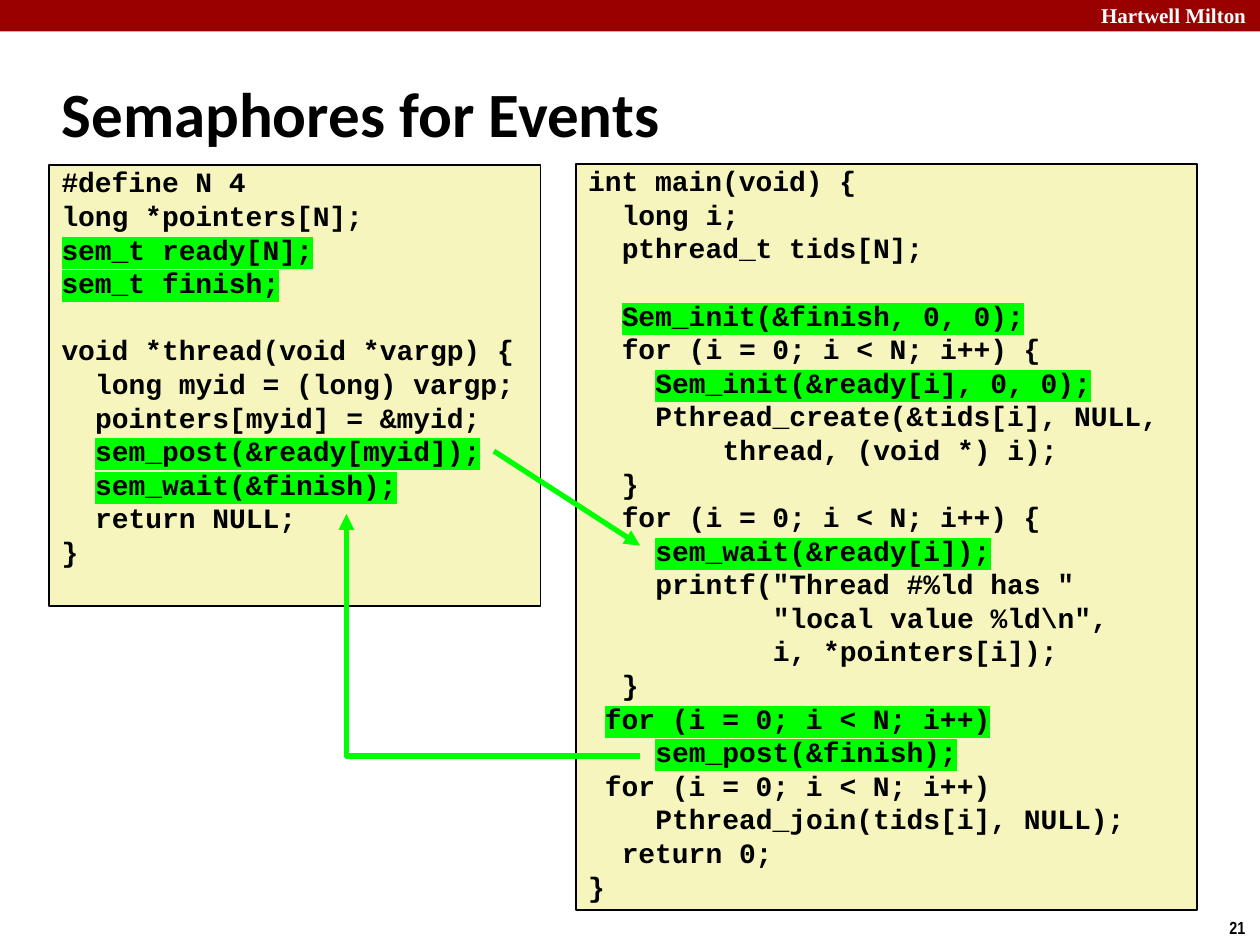
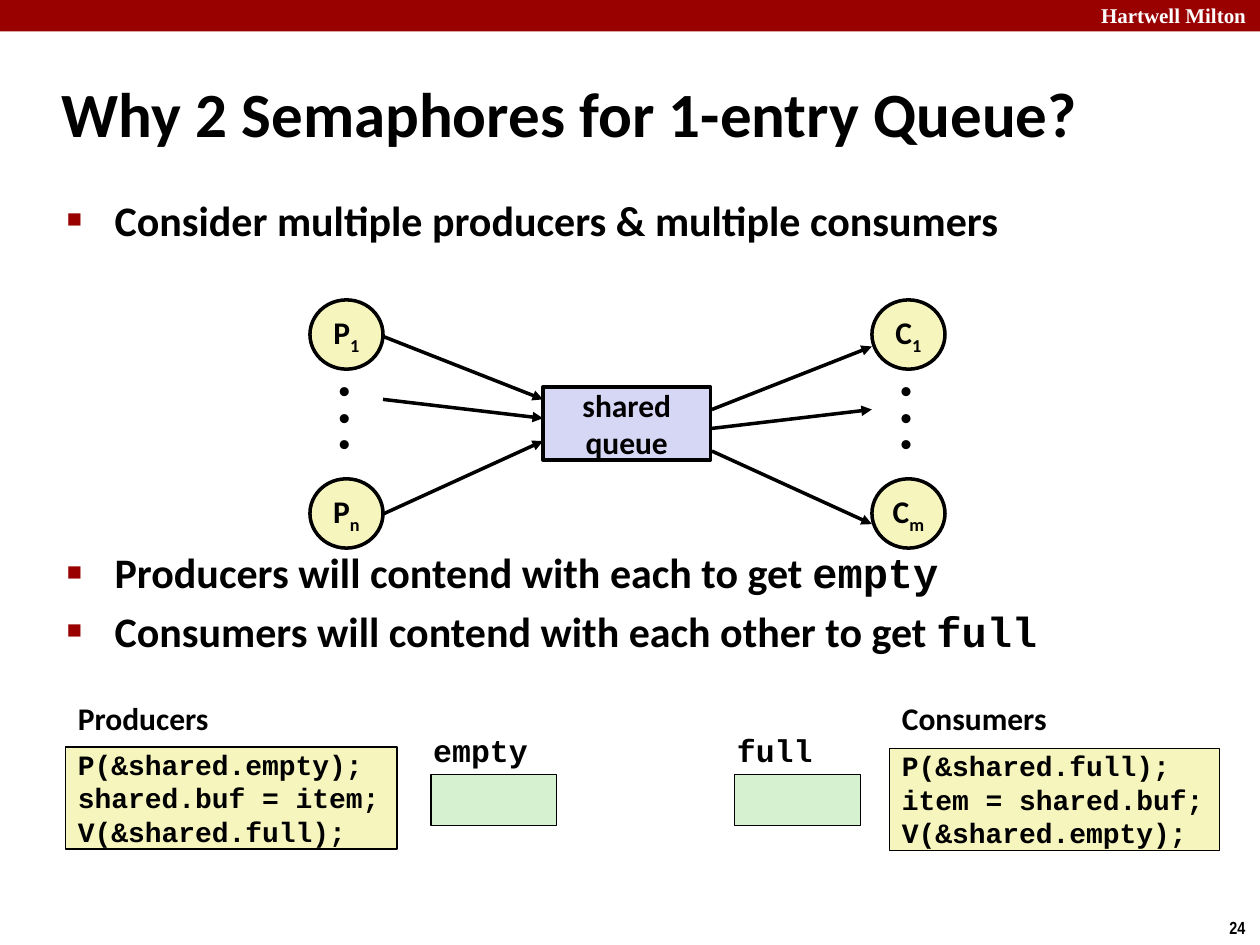
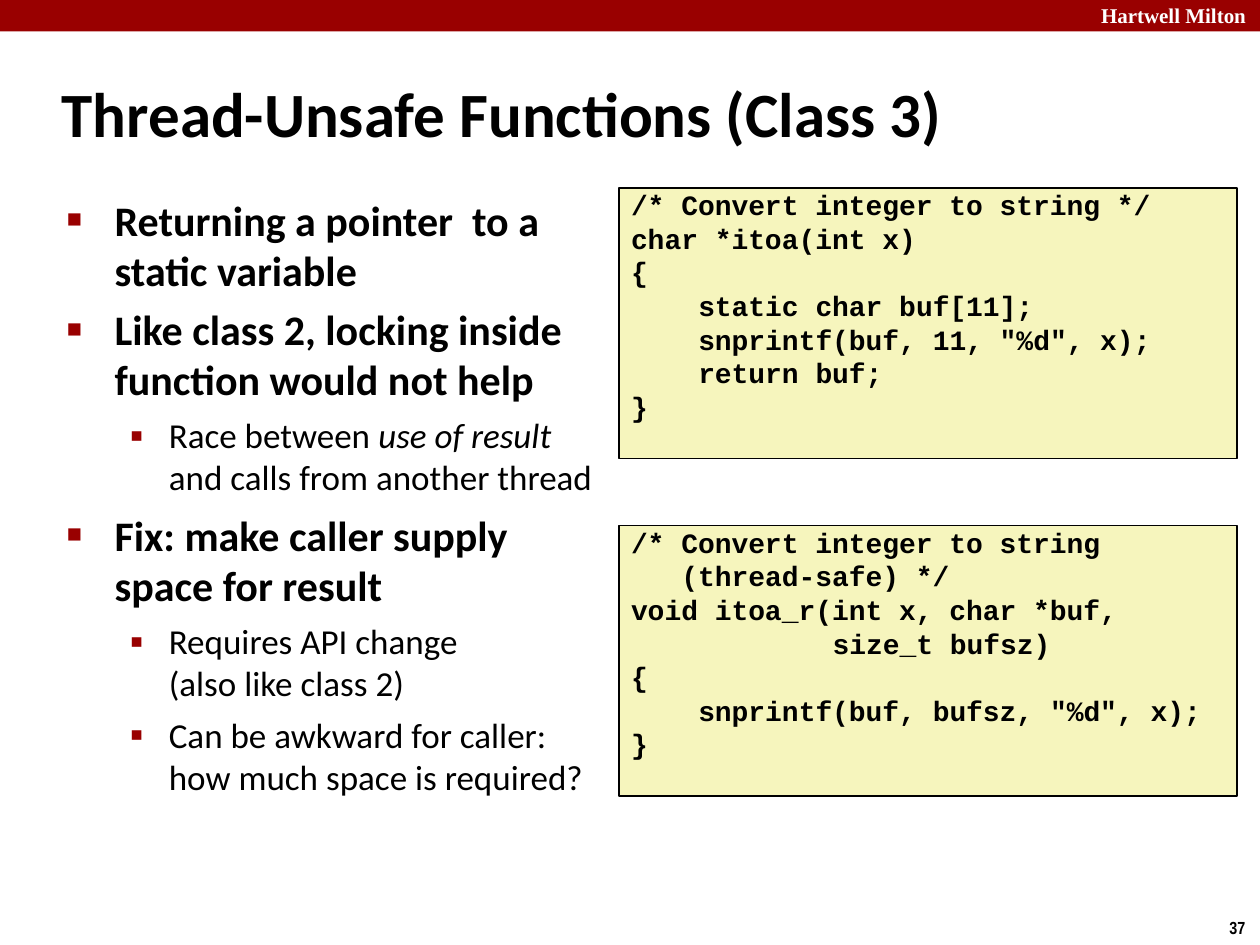
from dataclasses import dataclass

from lxml import etree
from pptx import Presentation
from pptx.dml.color import RGBColor
from pptx.enum.shapes import MSO_CONNECTOR, MSO_SHAPE
from pptx.enum.text import MSO_ANCHOR, MSO_AUTO_SIZE, PP_ALIGN
from pptx.oxml.ns import qn
from pptx.util import Emu, Pt

RECT, OVAL = MSO_SHAPE.RECTANGLE, MSO_SHAPE.OVAL
LINE, ELBOW = MSO_CONNECTOR.STRAIGHT, MSO_CONNECTOR.ELBOW
TOP, MIDDLE = MSO_ANCHOR.TOP, MSO_ANCHOR.MIDDLE
LEFT, CENTER = PP_ALIGN.LEFT, PP_ALIGN.CENTER
FIXED = MSO_AUTO_SIZE.NONE
PX = 9144  # 100 px to the inch


@dataclass(frozen=True)
class Theme:
    red: str = "990000"
    black: str = "000000"
    white: str = "FFFFFF"
    cream: str = "F6F5BD"
    lilac: str = "D6D6F5"
    mint: str = "D5F1CF"
    green: str = "00FF00"
    sans: str = "Calibri"
    mono: str = "Courier New"
    title: int = 36
    body: tuple = (24, 20)
    label: int = 18
    code: int = 16
    pitch: float = 19.2
    cell: float = 9.6


T = Theme()
# margin, hanging indent, bullet sign and its size for each list level
LEVELS = ((38, 38, "■", 60), (81, 31, "▪", 110))

GLOBALS = r"""
#define N 4
long *pointers[N];
!sem_t ready[N];
!sem_t finish;

void *thread(void *vargp) {
  long myid = (long) vargp;
  pointers[myid] = &myid;
!  sem_post(&ready[myid]);
!  sem_wait(&finish);
  return NULL;
}
"""
MAIN = r"""
int main(void) {
  long i;
  pthread_t tids[N];

!  Sem_init(&finish, 0, 0);
  for (i = 0; i < N; i++) {
!    Sem_init(&ready[i], 0, 0);
    Pthread_create(&tids[i], NULL,
        thread, (void *) i);
  }
  for (i = 0; i < N; i++) {
!    sem_wait(&ready[i]);
    printf("Thread #%ld has "
           "local value %ld\n",
           i, *pointers[i]);
  }
! for (i = 0; i < N; i++)
!    sem_post(&finish);
 for (i = 0; i < N; i++)
    Pthread_join(tids[i], NULL);
  return 0;
}
"""
PRODUCE = """
P(&shared.empty);
shared.buf = item;
V(&shared.full);
"""
CONSUME = """
P(&shared.full);
item = shared.buf;
V(&shared.empty);
"""
UNSAFE = """
/* Convert integer to string */
char *itoa(int x)
{
    static char buf[11];
    snprintf(buf, 11, "%d", x);
    return buf;
}
"""
SAFE = """
/* Convert integer to string
   (thread-safe) */
void itoa_r(int x, char *buf,
            size_t bufsz)
{
    snprintf(buf, bufsz, "%d", x);
}
"""


def px(*sizes):
    return [Emu(size * PX) for size in sizes]


def rgb(code):
    return RGBColor.from_string(code)


def node(tag, **attrs):
    item = etree.Element(qn(tag))
    for key, value in attrs.items():
        item.set(key, str(value))
    return item


def write(para, text, size, color=T.black, name=T.sans, bold=True, italic=False):
    run = para.add_run()
    run.text = text
    look = {"size": Pt(size), "name": name, "bold": bold, "italic": italic}
    for key, value in look.items():
        setattr(run.font, key, value)
    run.font.color.rgb = rgb(color)
    return run


def mark(run):
    """Put a green highlight behind a run."""
    tint = node("a:highlight")
    tint.append(node("a:srgbClr", val=T.green))
    run._r.get_or_add_rPr().find(qn("a:solidFill")).addnext(tint)


def setup(shape, wrap=True, anchor=TOP, pad=5):
    frame = shape.text_frame
    look = {"word_wrap": wrap, "vertical_anchor": anchor, "auto_size": FIXED}
    sides = zip(("left", "top", "right", "bottom"), px(10, pad, 10, pad))
    look.update({"margin_" + side: size for side, size in sides})
    for key, value in look.items():
        setattr(frame, key, value)
    return frame


def box(slide, kind, at, fill, width=1.0, edge=T.black):
    shape = slide.shapes.add_shape(kind, *px(*at))
    shape.shadow.inherit = False
    shape.fill.solid()
    shape.fill.fore_color.rgb = rgb(fill)
    if width:
        shape.line.color.rgb = rgb(edge)
        shape.line.width = Pt(width)
    else:
        shape.line.fill.background()
    return shape


def note(slide, at, text, size, **look):
    shape = slide.shapes.add_textbox(*px(*at))
    write(setup(shape, wrap=False).paragraphs[0], text, size, **look)
    return shape


def code(slide, at, text):
    """Draw a listing; a leading ! highlights its line."""
    frame = setup(box(slide, RECT, at, T.cream), pad=0)
    para, gap = frame.paragraphs[0], 0
    for row in text.strip("\n").split("\n"):
        if not row:
            gap = T.pitch
            continue
        if para.runs:
            para = frame.add_paragraph()
        lit = row.startswith("!")
        row = row.lstrip("!")
        words = row.lstrip()
        para.alignment = LEFT
        para.line_spacing, para.space_before = Pt(T.pitch), Pt(gap)
        indent = Pt((len(row) - len(words)) * T.cell)
        para._p.get_or_add_pPr().set("marL", str(indent))
        run = write(para, words, T.code, name=T.mono)
        if lit:
            mark(run)
        gap = 0


def link(slide, start, end, color=T.black, width=2, kind=LINE):
    wire = slide.shapes.add_connector(kind, *px(*start, *end))
    wire.line.color.rgb = rgb(color)
    wire.line.width = Pt(width)
    wire.line._get_or_add_ln().append(node("a:tailEnd", type="triangle"))
    wire._element.spPr.append(node("a:effectLst"))
    return wire


def turn(wire):
    """Place an elbow's bend straight below its end."""
    geom = wire._element.spPr.find(qn("a:prstGeom"))
    for old in list(geom):
        geom.remove(old)
    guides = node("a:avLst")
    guides.append(node("a:gd", name="adj1", fmla="val 100000"))
    geom.append(guides)


def disc(slide, at, letter, index):
    shape = box(slide, OVAL, at, T.cream, 2)
    para = setup(shape, False, MIDDLE, 0).paragraphs[0]
    para.alignment = CENTER
    write(para, letter, T.label)
    low = write(para, index, T.label)
    low._r.get_or_add_rPr().set("baseline", "-25000")


def dots(slide, at):
    frame = setup(slide.shapes.add_textbox(*px(*at)), wrap=False)
    for row in range(3):
        para = frame.add_paragraph() if row else frame.paragraphs[0]
        para.line_spacing = 0.7
        write(para, "•", T.label, name="Arial")


def place(shape, at):
    for key, size in zip(("left", "top", "width", "height"), px(*at)):
        setattr(shape, key, size)


def bullets(slide, at, items):
    """Fill the body from (level, space before or None, runs)."""
    body = slide.placeholders[1]
    place(body, at)
    frame = setup(body)
    for row, (level, gap, runs) in enumerate(items):
        para = frame.add_paragraph() if row else frame.paragraphs[0]
        margin, hang, sign, scale = LEVELS[level]
        para.level = level
        if gap:
            para.space_before = Pt(gap)
        props = para._p.get_or_add_pPr()
        props.set("marL", str(margin * PX))
        props.set("indent", str(-hang * PX))
        color = node("a:buClr")
        color.append(node("a:srgbClr", val=T.red))
        props.extend([color, node("a:buSzPct", val=scale * 1000),
                      node("a:buFont", typeface="Arial"),
                      node("a:buChar", char=sign)])
        for text, look in runs:
            for part, line in enumerate(text.split("\n")):
                if part:
                    para.add_line_break()
                if line:
                    write(para, line, T.body[level], bold=level == 0, **look)


def brand(deck, slide):
    """Move the shared band and school name to the master."""
    band = box(slide, RECT, (0, 0, 1000, 25), T.red, 0)
    name = note(slide, (864, -3, 143, 30), "Hartwell Milton", 12,
                color=T.white, name="Times New Roman")
    for number, part in enumerate((band, name), 101):
        part.element.nvSpPr.cNvPr.id = number
        deck.slide_master.shapes.element.append(part.element)


def start(deck, layout, title, number):
    slide = deck.slides.add_slide(deck.slide_layouts[layout])
    head = slide.shapes.title
    place(head, (39, 48, 830, 83))
    para = setup(head, anchor=MIDDLE).paragraphs[0]
    para.alignment = LEFT
    write(para, title, T.title)
    note(slide, (966, 723, 34, 27), number, 10, name="Arial Narrow")
    return slide


def events(deck):
    slide = start(deck, 5, "Semaphores for Events", "21")
    brand(deck, slide)
    code(slide, (39, 131, 390, 350), GLOBALS)
    code(slide, (457, 130, 493, 592), MAIN)
    link(slide, (392, 358), (508, 433), T.green, 3)
    turn(link(slide, (508, 600), (275, 408), T.green, 3, ELBOW))


def queue(deck):
    slide = start(deck, 1, "Why 2 Semaphores for 1-entry Queue?", "24")
    mono = {"name": T.mono}
    bullets(slide, (43, 149, 864, 109), [
        (0, None, [("Consider multiple producers & multiple consumers", {})]),
        (0, 172.5, [("Producers will contend with each to get ", {}),
                    ("empty", mono)]),
        (0, None, [("Consumers will contend with each other to get ", {}),
                   ("full", mono)]),
    ])
    shared = box(slide, RECT, (431, 307, 133, 58), T.lilac, 2)
    frame = setup(shared, False, MIDDLE, 0)
    for para, word in ((frame.paragraphs[0], "shared"),
                       (frame.add_paragraph(), "queue")):
        para.alignment = CENTER
        write(para, word, T.label)
    for left, letter, last in ((246, "P", "n"), (692, "C", "m")):
        disc(slide, (left, 238, 58, 55), letter, "1")
        disc(slide, (left, 380, 58, 55), letter, last)
        dots(slide, (left + 13, 298, 32, 75))
    for tail, tip in ((267, 317), (317, 332), (408, 350)):
        link(slide, (304, tail), (431, tip))
        link(slide, (565, tip + 8), (692, tail + 8))
    for left, top, width, word, text in (
            (52, 593, 263, "Producers", PRODUCE),
            (706, 594, 262, "Consumers", CONSUME)):
        code(slide, (left, top, width, 81), text)
        note(slide, (left, 550, 137, 40), word, T.label)
    for left, word in ((342, "empty"), (583, "full")):
        box(slide, RECT, (left, 615, 100, 40), T.mint, 0.75)
        note(slide, (left - 8, 575, 96, 40), word, T.label, **mono)


def unsafe(deck):
    slide = start(deck, 1, "Thread-Unsafe Functions (Class 3)", "37")
    bullets(slide, (43, 149, 465, 509), [
        (0, None, [("Returning a pointer  to a static variable", {})]),
        (0, None, [("Like class 2, locking inside function would not help", {})]),
        (1, None, [("Race between ", {}), ("use of result", {"italic": True}),
                   ("\nand calls from another thread", {})]),
        (0, None, [("Fix: make caller supply\nspace for result", {})]),
        (1, None, [("Requires API change\n(also like class 2)", {})]),
        (1, None, [("Can be awkward for caller:\nhow much space is required?", {})]),
    ])
    for top, text in ((149, UNSAFE), (417, SAFE)):
        code(slide, (491, top, 491, 215), text)


def main():
    deck = Presentation()
    deck.slide_width, deck.slide_height = px(1000, 750)
    for build in (events, queue, unsafe):
        build(deck)
    deck.save("out.pptx")


if __name__ == "__main__":
    main()
